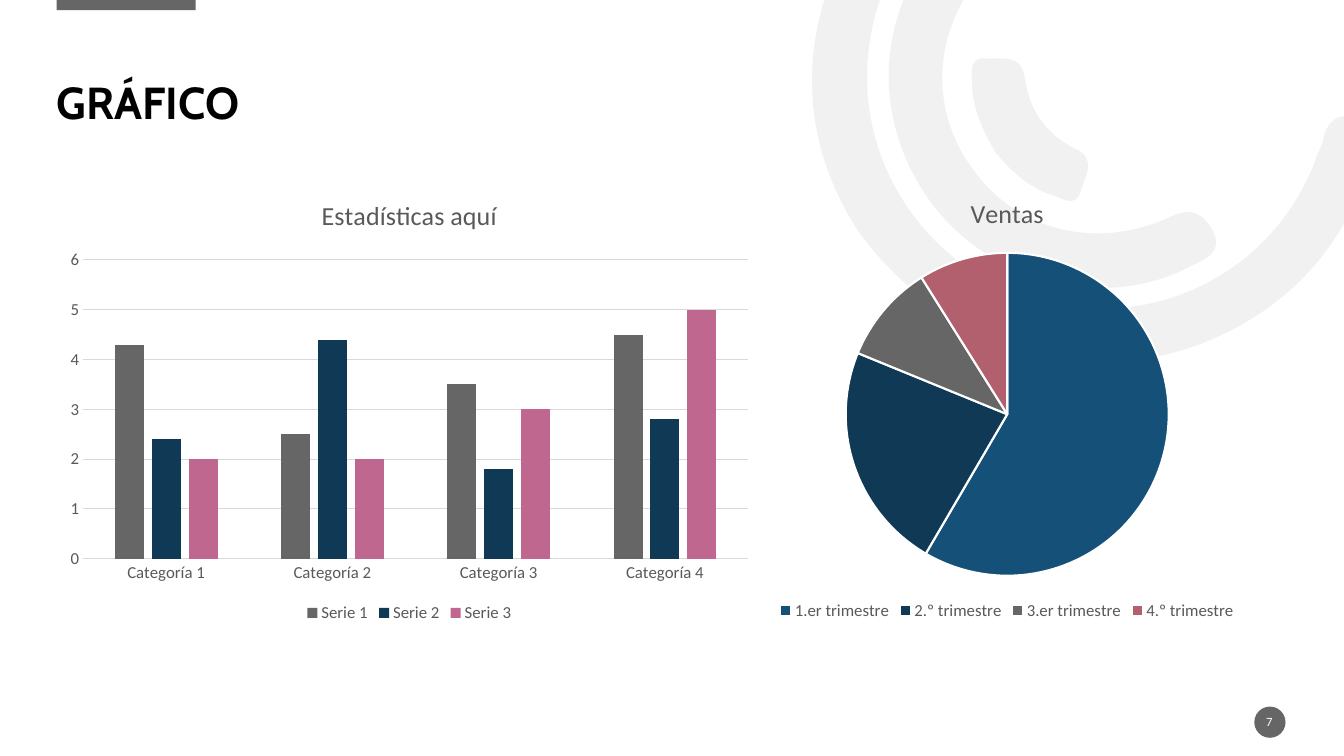
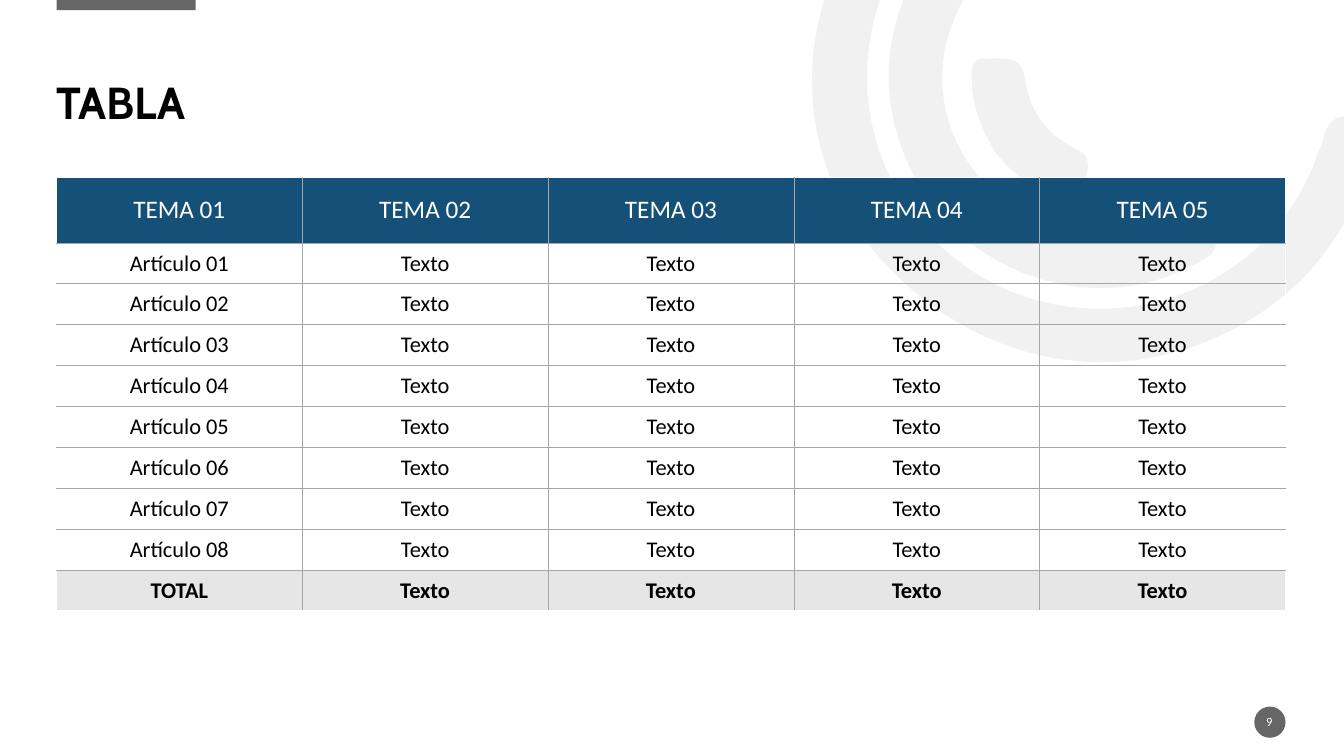
from math import cos, radians, sin
from lxml.etree import SubElement as Sub
from pptx import Presentation
from pptx.chart.data import CategoryChartData as Data
from pptx.dml.color import RGBColor
from pptx.enum.chart import XL_CHART_TYPE as Kind, XL_LEGEND_POSITION as Spot, XL_TICK_MARK as Tick
from pptx.enum.shapes import MSO_SHAPE as Form
from pptx.enum.text import MSO_ANCHOR as Anchor, PP_ALIGN as Align
from pptx.oxml.ns import qn
from pptx.util import Inches, Pt

BLACK, WHITE, GREY, PALE = "000000", "FFFFFF", "666666", "E7E6E6"
BLUE, NAVY, PINK, ROSE = "155078", "0F3955", "BF678E", "B2606E"
TEXT, GRID, RULE = "595959", "D9D9D9", "A6A6A6"
HEAD, BODY = "Cabin", "Calibri"
LEFT, WIDE, TURN = 0.56, 12.19, 144.2
ARCS = [
    ((8.13, -2.02, 4.85, 6),
     [(8.51, 2.29), (7.99, 1.49, 7.87, 0.5, 8.38, -0.5), (8.9, -1.52, 9.76, -2.03, 10.9, -2.07),
      (11.05, -2.07, 11.21, -2.1, 11.31, -1.95), (11.44, -1.75, 11.27, -1.54, 10.98, -1.54),
      (9.67, -1.54, 8.65, -0.59, 8.6, 0.68), (8.56, 1.81, 9.36, 2.81, 10.46, 3.02),
      (11.6, 3.24, 12.7, 2.61, 13.07, 1.52), (13.09, 1.48, 13.11, 1.44, 13.12, 1.4),
      (13.16, 1.19, 13.27, 1.11, 13.49, 1.17), (13.73, 1.24, 13.67, 1.41, 13.61, 1.56),
      (13.34, 2.45, 12.78, 3.07, 11.91, 3.41), (10.7, 3.87, 9.36, 3.45, 8.51, 2.29)]),
    ((9.01, -0.78, 2.13, 4.26),
     [(9.22, 1.99), (8.62, 1.15, 8.69, 0.07, 9.4, -0.68), (9.51, -0.79, 9.62, -0.95, 9.8, -0.78),
      (9.95, -0.64, 9.97, -0.5, 9.79, -0.32), (9.25, 0.26, 9.2, 1.08, 9.65, 1.68),
      (10.08, 2.29, 10.88, 2.49, 11.61, 2.15), (11.82, 2.05, 11.93, 2.12, 12.03, 2.29),
      (12.13, 2.5, 11.97, 2.56, 11.83, 2.63), (10.96, 3.1, 9.83, 2.82, 9.22, 1.99)]),
    ((9.8, 0.37, 0.78, 1.83),
     [(9.87, 1.51), (9.75, 1.3, 9.64, 1.07, 9.64, 0.82), (9.64, 0.73, 9.61, 0.57, 9.76, 0.58),
      (9.92, 0.59, 10.13, 0.53, 10.16, 0.76), (10.21, 1.1, 10.36, 1.32, 10.67, 1.48),
      (10.88, 1.57, 10.76, 1.76, 10.72, 1.89), (10.68, 2.06, 10.55, 1.98, 10.45, 1.94),
      (10.21, 1.87, 10.03, 1.7, 9.87, 1.51)]),
]


def rgb(code):
    """Turn a hex string into a colour."""
    return RGBColor.from_string(code)


def box(*sides):
    """Turn lengths in inches into a list of lengths."""
    return [Inches(side) for side in sides]


def place(shape, area):
    """Move and size a shape to fill an area."""
    shape.left, shape.top, shape.width, shape.height = box(*area)


def paint(part, code):
    """Give a fill one solid colour."""
    part.fill.solid()
    part.fill.fore_color.rgb = rgb(code)


def stroke(line, code, size):
    """Set the colour and width of a line."""
    line.color.rgb = rgb(code)
    line.width = Pt(size)


def style(font, size, code, face=BODY, bold=False):
    """Set the look of a font."""
    font.name, font.size, font.bold = face, Pt(size), bold
    font.color.rgb = rgb(code)


def trim(frame, anchor):
    """Remove the insets of a text frame and anchor it."""
    frame.margin_left = frame.margin_right = frame.margin_top = frame.margin_bottom = 0
    frame.word_wrap = True
    frame.vertical_anchor = anchor


def plain(shape, code):
    """Make a shape flat, with no line or shadow."""
    paint(shape, code)
    shape.line.fill.background()
    shape.shadow.inherit = False
    return shape


def local(area, curve):
    """Turn the points of a curve back into the frame of a rotated box."""
    left, top, width, height = area
    c, s = cos(radians(TURN)), sin(radians(TURN))
    spots = []
    for x, y in zip(curve[::2], curve[1::2]):
        x, y = x - left - width / 2, y - top - height / 2
        spots.append(box(x * c + y * s + width / 2, y * c - x * s + height / 2))
    return spots


def swirl(shapes, area, curves):
    """Draw one rotated outline made of cubic curves."""
    curves = [local(area, curve) for curve in curves]
    pen = shapes.build_freeform(*curves[0][0])
    pen.add_line_segments([curve[-1] for curve in curves[1:]])
    arc = plain(pen.convert_to_shape(), PALE)
    place(arc, area)
    arc.rotation = TURN
    Sub(arc.element.find(".//" + qn("a:srgbClr")), qn("a:alpha"), val="53000")
    route = arc.element.find(".//" + qn("a:path"))
    route.set("w", str(arc.width))
    route.set("h", str(arc.height))
    for step, curve in zip(route, curves):
        step.clear()
        if len(curve) > 1:
            step.tag = qn("a:cubicBezTo")
        for x, y in curve:
            Sub(step, qn("a:pt"), x=str(x), y=str(y))
    return arc


def dress(layout, slide):
    """Put the title box, band, disc and arcs on the layout."""
    title, *rest = layout.placeholders
    for spare in rest:
        layout.shapes.element.remove(spare.element)
    place(title, (LEFT, 0.27, WIDE, 1.01))
    trim(title.text_frame, Anchor.BOTTOM)
    shapes = slide.shapes
    band = plain(shapes.add_shape(Form.RECTANGLE, *box(LEFT, -0.02, 1.38, 0.12)), GREY)
    band.rotation = 180
    disc = plain(shapes.add_shape(Form.OVAL, *box(12.44, 7.01, 0.31, 0.31)), GREY)
    arcs = [swirl(shapes, area, curves) for area, curves in ARCS]
    for part in (band, disc, *arcs):
        layout.shapes.element.append(part.element)


def label(slide, title, page):
    """Write the title and page number of a slide."""
    slide.shapes.title.text = title
    para = slide.shapes.title.text_frame.paragraphs[0]
    para.alignment, para.line_spacing = Align.LEFT, 0.9
    style(para.font, 32, BLACK, HEAD, True)
    frame = slide.shapes.add_textbox(*box(12.43, 7.06, 0.32, 0.2)).text_frame
    trim(frame, Anchor.MIDDLE)
    para = frame.paragraphs[0]
    para.text, para.alignment = page, Align.CENTER
    style(para.font, 9, WHITE)


def plot(slide, area, kind, title, cats, series):
    """Add a chart with a title and a legend below."""
    data = Data()
    data.categories = cats
    for name, vals in series:
        data.add_series(name, vals)
    chart = slide.shapes.add_chart(kind, *box(*area), data).chart
    style(chart.font, 10, BLACK)
    chart.has_title = True
    para = chart.chart_title.text_frame.paragraphs[0]
    para.text = title
    style(para.font, 18.6, TEXT)
    chart.chart_title.include_in_layout = False
    chart.has_legend = True
    chart.legend.position = Spot.BOTTOM
    chart.legend.include_in_layout = False
    style(chart.legend.font, 12, TEXT)
    return chart


def bars(slide, area):
    """Add the column chart."""
    series = [("Serie 1", (4.3, 2.5, 3.5, 4.5)), ("Serie 2", (2.4, 4.4, 1.8, 2.8)),
              ("Serie 3", (2, 2, 3, 5))]
    cats = [f"Categoría {n}" for n in range(1, 5)]
    chart = plot(slide, area, Kind.COLUMN_CLUSTERED, "Estadísticas aquí", cats, series)
    group = chart.plots[0]
    group.gap_width, group.overlap, group.vary_by_categories = 219, -27, False
    for item, code in zip(group.series, (GREY, NAVY, PINK)):
        paint(item.format, code)
    foot, side = chart.category_axis, chart.value_axis
    for axis in (foot, side):
        axis.major_tick_mark = axis.minor_tick_mark = Tick.NONE
        style(axis.tick_labels.font, 12, TEXT)
    stroke(foot.format.line, GRID, 0.75)
    side.format.line.fill.background()
    stroke(side.major_gridlines.format.line, GRID, 0.75)


def pie(slide, area):
    """Add the pie chart."""
    cats = ["1.er trimestre", "2.º trimestre", "3.er trimestre", "4.º trimestre"]
    chart = plot(slide, area, Kind.PIE, "Ventas", cats, [("Series 1", (59, 23, 10, 9))])
    group = chart.plots[0]
    group.vary_by_categories = True
    for n, code in enumerate((BLUE, NAVY, GREY, ROSE)):
        look = group.series[0].points[n].format
        paint(look, code)
        stroke(look.line, WHITE, 1.5)


def edge(cell, outer):
    """Draw the borders of a cell, white on the outer sides."""
    props = cell._tc.get_or_add_tcPr()
    for side in "LRTB":
        code, size = (WHITE, 1) if side in outer else (RULE, 0.5)
        line = Sub(props, qn(f"a:ln{side}"), w=str(Pt(size)))
        Sub(Sub(line, qn("a:solidFill")), qn("a:srgbClr"), val=code)


def grid(slide, area):
    """Add the table with its head and total rows."""
    rows = [[f"TEMA {n:02}" for n in range(1, 6)]]
    rows += [[f"Artículo {n:02}"] + ["Texto"] * 4 for n in range(1, 9)]
    rows.append(["TOTAL"] + ["Texto"] * 4)
    last, end = len(rows) - 1, len(rows[0]) - 1
    top = 0.65
    table = slide.shapes.add_table(last + 1, end + 1, *box(*area)).table
    table.first_row = table.horz_banding = False
    for r, row in enumerate(rows):
        table.rows[r].height = Inches(top if r == 0 else (area[3] - top) / last)
        for c, text in enumerate(row):
            cell = table.cell(r, c)
            outer = "L" * (c == 0) + "R" * (c == end) + "T" * (r == 0) + "B" * (r == last)
            edge(cell, outer)
            if r in (0, last):
                paint(cell, PALE if r else BLUE)
            else:
                cell.fill.background()
            cell.vertical_anchor = Anchor.MIDDLE
            para = cell.text_frame.paragraphs[0]
            para.text, para.alignment = text, Align.CENTER
            style(para.font, 16 if r else 18, BLACK if r else WHITE, bold=r == last)


def main():
    """Build the deck."""
    deck = Presentation()
    deck.slide_width, deck.slide_height = box(13.33, 7.5)
    layout = deck.slide_layouts[5]
    charts, table = [deck.slides.add_slide(layout) for _ in range(2)]
    dress(layout, charts)
    label(charts, "GRÁFICO", "7")
    bars(charts, (LEFT, 1.77, 7, 4.45))
    pie(charts, (6.65, 1.75, 6.68, 4.45))
    label(table, "TABLA", "9")
    grid(table, (LEFT, 1.76, WIDE, 4.3))
    deck.save("out.pptx")


if __name__ == "__main__":
    main()
